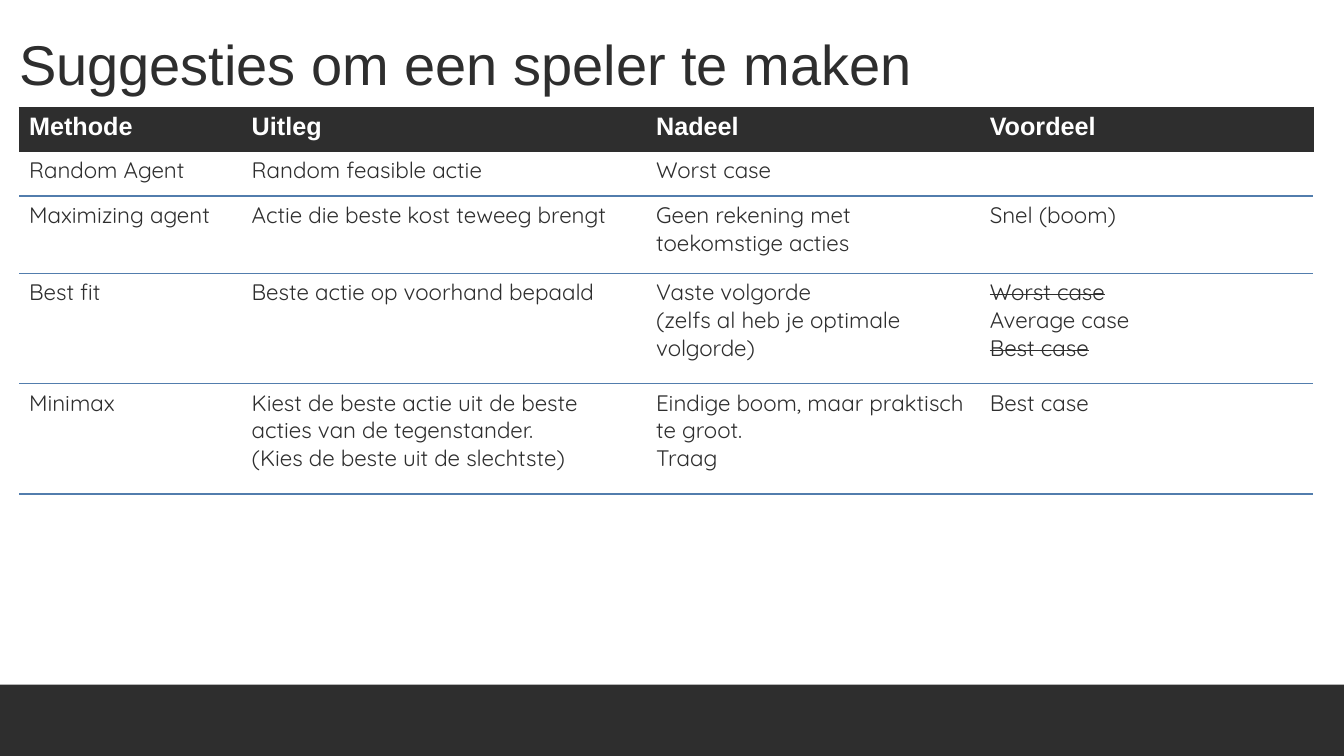
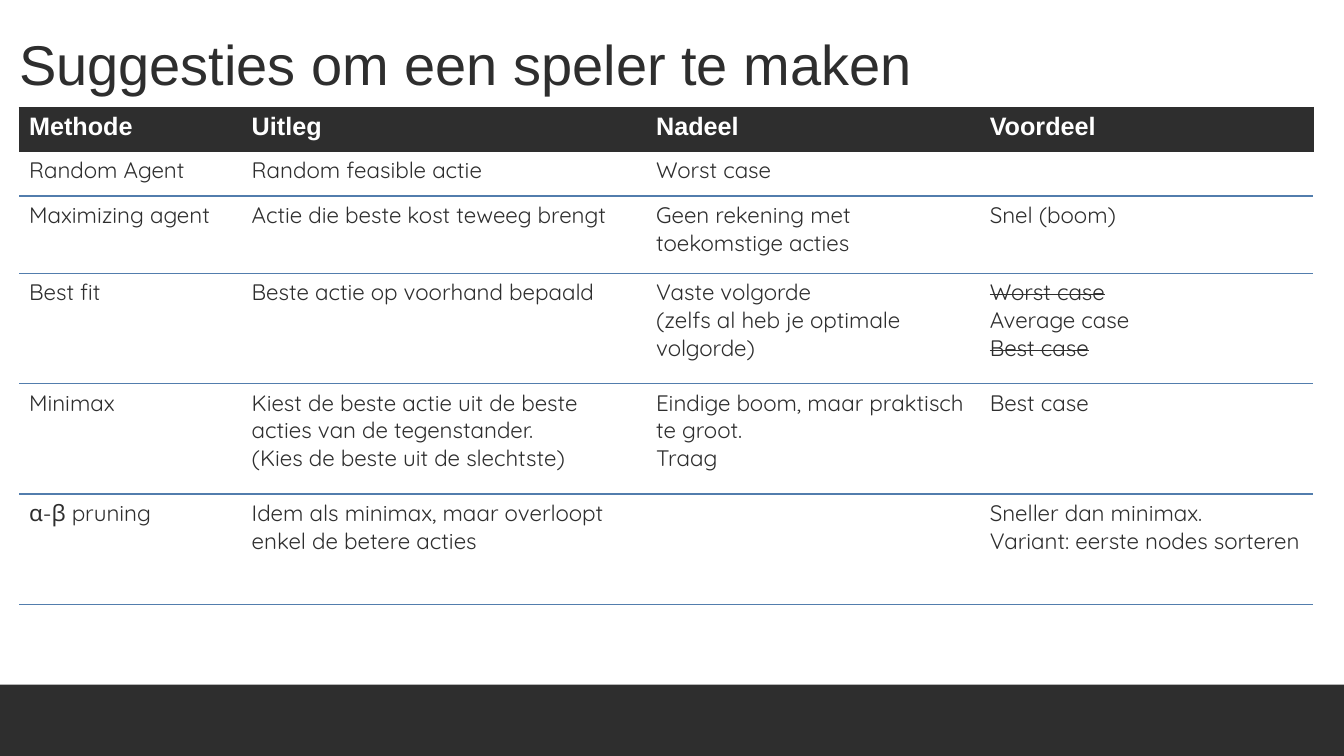
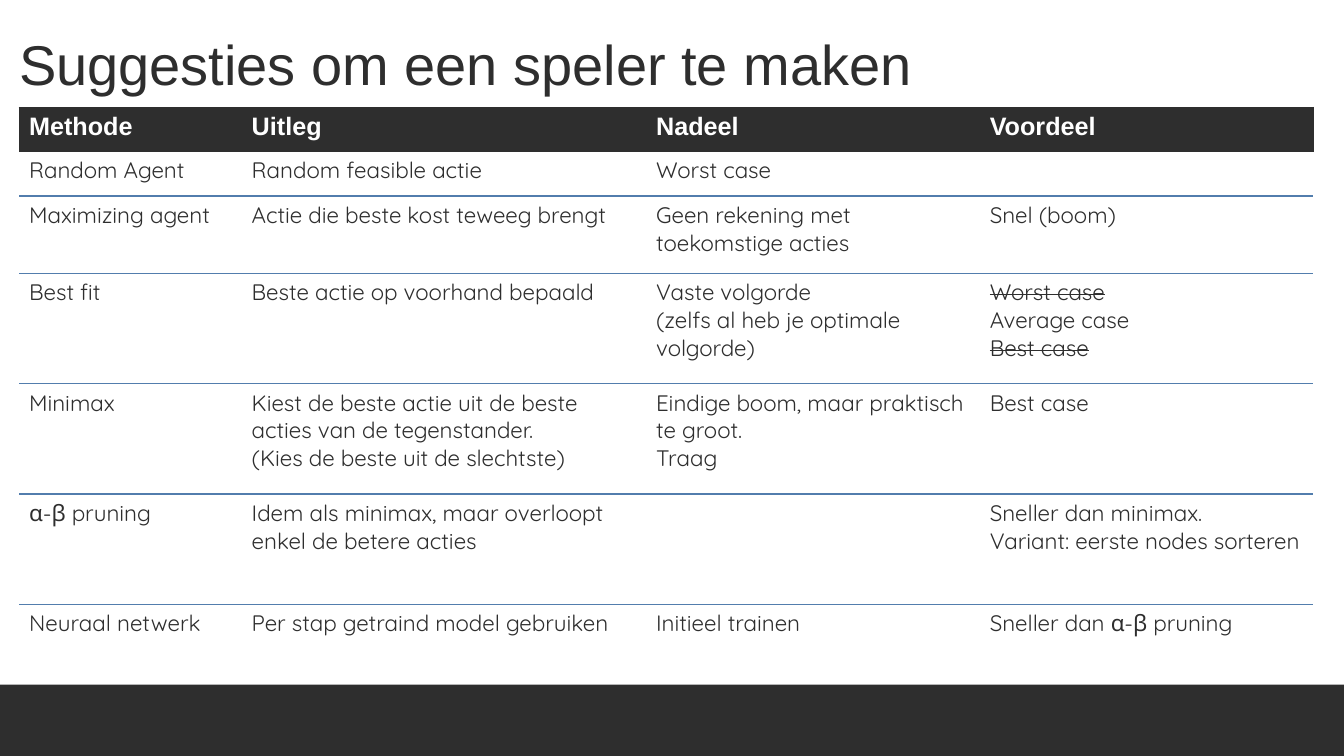
"""Build three slides whose table of player methods grows row by row."""
from lxml.etree import SubElement as Sub
from pptx import Presentation
from pptx.dml.color import RGBColor as RGB
from pptx.enum.shapes import MSO_SHAPE as Form
from pptx.enum.text import MSO_ANCHOR as Anchor
from pptx.oxml.ns import qn
from pptx.util import Cm, Pt

DARK, BLUE, WHITE = "2E2E2E", "527DAD", "FFFFFF"
TITLE = "Suggesties om een speler te maken"
PLAIN = "{2D5ABB26-0587-4C30-8999-92F81FD0307C}"
WIDE, HIGH, LEFT = 33.87, 19.05, 0.48
COLS = [5.61, 10.19, 8.41, 8.41]
ROWS = [
    (1.12, ["Methode", "Uitleg", "Nadeel", "Voordeel"]),
    (1.12, ["Random Agent", "Random feasible actie", "Worst case", ""]),
    (1.95, ["Maximizing agent", "Actie die beste kost teweeg brengt",
            "Geen rekening met toekomstige acties", "Snel (boom)"]),
    (2.78, ["Best fit", "Beste actie op voorhand bepaald",
            "Vaste volgorde\n(zelfs al heb je optimale volgorde)",
            "~Worst case\nAverage case\n~Best case"]),
    (2.78, ["Minimax",
            "Kiest de beste actie uit de beste acties van de tegenstander.\n"
            "(Kies de beste uit de slechtste)",
            "Eindige boom, maar praktisch te groot.\nTraag", "Best case"]),
    (2.78, ["α-β pruning",
            "Idem als minimax, maar overloopt enkel de betere acties", "",
            "Sneller dan minimax.\nVariant: eerste nodes sorteren"]),
    (1.95, ["Neuraal netwerk", "Per stap getraind model gebruiken",
            "Initieel trainen", "Sneller dan α-β pruning"]),
]


def write(frame, text, size=16, font="Quicksand", color=DARK, bold=False):
    """Fill a text frame line by line; a leading ~ strikes a line out."""
    for n, line in enumerate(text.split("\n")):
        para = frame.add_paragraph() if n else frame.paragraphs[0]
        para.font.size = Pt(size)
        if not line:
            continue
        run = para.add_run()
        run.text = line.lstrip("~")
        run.font.size, run.font.name, run.font.bold = Pt(size), font, bold
        run.font.color.rgb = RGB.from_string(color)
        if line.startswith("~"):
            run.font._element.set("strike", "sngStrike")


def edge(cell, side, color, width):
    """Draw one border of a cell."""
    line = Sub(cell._tc.get_or_add_tcPr(), qn("a:ln" + side), w=str(Pt(width)))
    Sub(Sub(line, qn("a:solidFill")), qn("a:srgbClr"), val=color)


deck = Presentation()
deck.slide_width, deck.slide_height = Cm(WIDE), Cm(HIGH)

for count in (5, 6, 7):
    slide = deck.slides.add_slide(deck.slide_layouts[6])
    band = slide.shapes.add_shape(Form.RECTANGLE, 0, Cm(17.25), Cm(WIDE), Cm(1.8))
    band.shadow.inherit = False
    band.fill.solid()
    band.fill.fore_color.rgb = RGB.from_string(DARK)
    band.line.fill.background()

    frame = slide.shapes.add_textbox(Cm(LEFT), 0, Cm(30.66), Cm(3.2)).text_frame
    frame.word_wrap = True
    frame.vertical_anchor = Anchor.MIDDLE
    frame.margin_left = frame.margin_right = 0
    frame.margin_top = frame.margin_bottom = 0
    write(frame, TITLE, size=40, font="Arial")

    rows = ROWS[:count]
    tall = sum(high for high, _ in rows)
    table = slide.shapes.add_table(count, len(COLS), Cm(LEFT), Cm(2.7),
                                   Cm(sum(COLS)), Cm(tall)).table
    table._tbl.tblPr.find(qn("a:tableStyleId")).text = PLAIN
    table.horz_banding = False
    for col, wide in zip(table.columns, COLS):
        col.width = Cm(wide)
    for r, (high, texts) in enumerate(rows):
        table.rows[r].height = Cm(high)
        for c, text in enumerate(texts):
            cell = table.cell(r, c)
            if r == 0:
                if c == 0:
                    edge(cell, "L", DARK, 0.5)
                if c == len(COLS) - 1:
                    edge(cell, "R", DARK, 0.5)
                edge(cell, "T", DARK, 0.5)
                cell.fill.solid()
                cell.fill.fore_color.rgb = RGB.from_string(DARK)
                write(cell.text_frame, text, size=18, font="Arial",
                      color=WHITE, bold=True)
            else:
                if r < len(ROWS) - 1:
                    edge(cell, "B", BLUE, 1)
                cell.fill.background()
                write(cell.text_frame, text)

deck.save("out.pptx")
